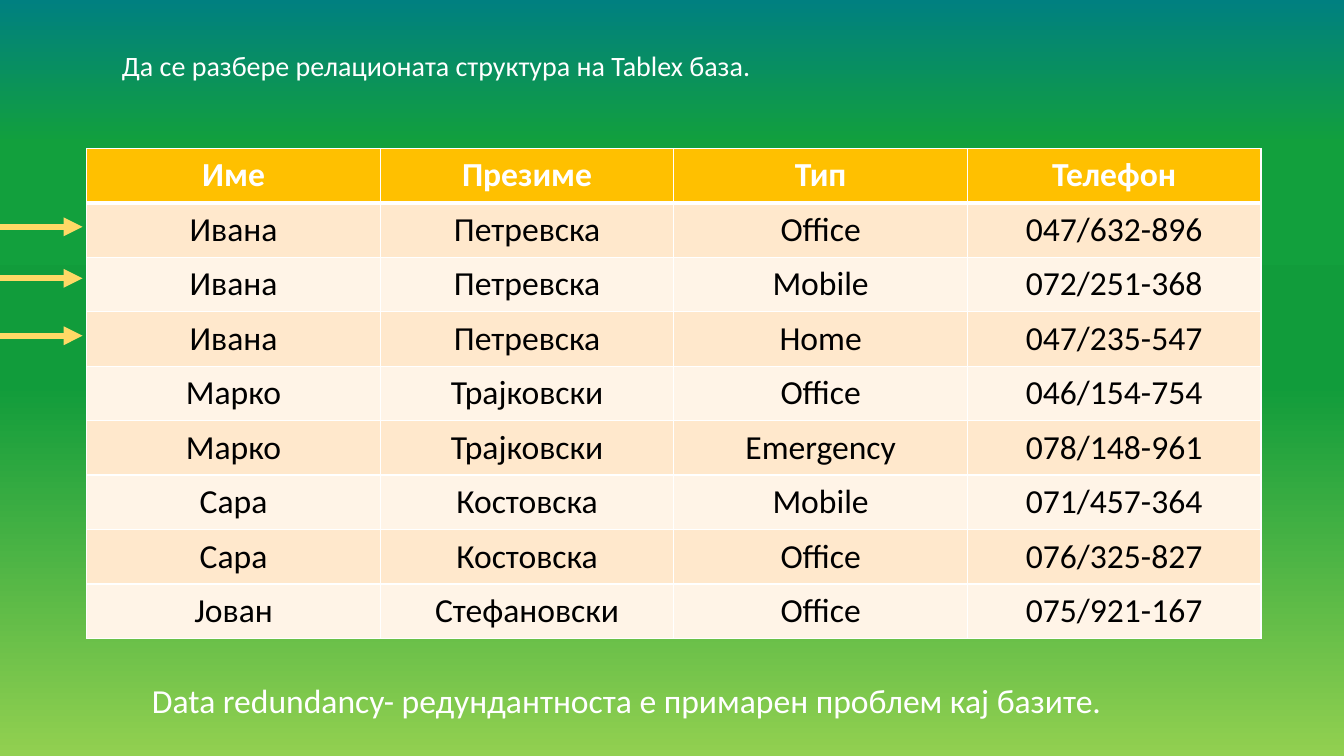
from dataclasses import dataclass

from lxml.etree import SubElement
from pptx import Presentation
from pptx.dml.color import RGBColor
from pptx.enum.shapes import MSO_CONNECTOR as Connector
from pptx.enum.text import MSO_AUTO_SIZE as AutoSize, MSO_ANCHOR as Anchor, PP_ALIGN as Align
from pptx.oxml.ns import qn
from pptx.slide import Slide
from pptx.table import _Cell as Cell
from pptx.text.text import _Paragraph as Paragraph
from pptx.util import Pt

FONT = "Calibri"
WHITE, BLACK, AMBER, ARROW_YELLOW = "FFFFFF", "000000", "FFC000", "FFD966"
BANDS = ("FFE8CC", "FFF4E7")
BACKGROUND_STOPS = ((0, "008080"), (19, "12A03D"), (51, "119C3B"), (100, "92D050"))

TABLE_LEFT, TABLE_TOP = 62, 106
COLUMN_WIDTH, ROW_HEIGHT = 209.7, 38.24
ARROW_LENGTH = 59
ARROW_HEIGHTS = (162, 198.8, 239.8)

PHONE_BOOK = (
    ("Име", "Презиме", "Тип", "Телефон"),
    ("Ивана", "Петревска", "Office", "047/632-896"),
    ("Ивана", "Петревска", "Mobile", "072/251-368"),
    ("Ивана", "Петревска", "Home", "047/235-547"),
    ("Марко", "Трајковски", "Office", "046/154-754"),
    ("Марко", "Трајковски", "Emergency", "078/148-961"),
    ("Сара", "Костовска", "Mobile", "071/457-364"),
    ("Сара", "Костовска", "Office", "076/325-827"),
    ("Јован", "Стефановски", "Office", "075/921-167"),
)


@dataclass(frozen=True)
class Caption:
    text: str
    left: float
    top: float
    width: float
    height: float
    size: float


CAPTIONS = (
    Caption("Да се разбере релационата структура на Tablex база.", 80, 31, 471, 31.5, 20),
    Caption("Data redundancy- редундантноста е примарен проблем кај базите.",
            101.5, 482.4, 700, 36.4, 24),
)


def color(value: str) -> RGBColor:
    return RGBColor.from_string(value)


def paint_background(slide: Slide) -> None:
    fill = slide.background.fill
    fill.gradient()
    fill.gradient_angle = 270
    stops = next(slide.element.iter(qn("a:gsLst")))
    for stop in list(stops):
        stops.remove(stop)
    for percent, value in BACKGROUND_STOPS:
        stop = SubElement(stops, qn("a:gs"), pos=str(percent * 1000))
        SubElement(stop, qn("a:srgbClr"), val=value)


def add_text(paragraph: Paragraph, text: str, size: float, value: str, bold: bool = False) -> None:
    run = paragraph.add_run()
    run.text = text
    run.font.name = FONT
    run.font.size = Pt(size)
    run.font.bold = bold
    run.font.color.rgb = color(value)


def add_caption(slide: Slide, caption: Caption) -> None:
    box = slide.shapes.add_textbox(
        Pt(caption.left), Pt(caption.top), Pt(caption.width), Pt(caption.height))
    frame = box.text_frame
    frame.word_wrap = False
    frame.auto_size = AutoSize.SHAPE_TO_FIT_TEXT
    add_text(frame.paragraphs[0], caption.text, caption.size, WHITE)


def set_borders(cell: Cell, top: float, bottom: float) -> None:
    properties = cell._tc.get_or_add_tcPr()
    for side, width in (("L", 1), ("R", 1), ("T", top), ("B", bottom)):
        line = SubElement(properties, qn(f"a:ln{side}"), w=str(Pt(width)))
        fill = SubElement(line, qn("a:solidFill"))
        SubElement(fill, qn("a:srgbClr"), val=WHITE)


def style_cell(cell: Cell, text: str, row: int) -> None:
    header = row == 0
    # The rule under the header is shared by the first two rows.
    set_borders(cell, top=3 if row == 1 else 1, bottom=3 if header else 1)
    cell.fill.solid()
    cell.fill.fore_color.rgb = color(AMBER if header else BANDS[(row - 1) % 2])
    cell.margin_left = cell.margin_right = Pt(9.6)
    cell.margin_top = cell.margin_bottom = Pt(4.8)
    cell.vertical_anchor = Anchor.TOP
    paragraph = cell.text_frame.paragraphs[0]
    paragraph.alignment = Align.CENTER
    add_text(paragraph, text, 24, WHITE if header else BLACK, bold=header)


def add_phone_book(slide: Slide) -> None:
    rows, columns = len(PHONE_BOOK), len(PHONE_BOOK[0])
    table = slide.shapes.add_table(
        rows, columns, Pt(TABLE_LEFT), Pt(TABLE_TOP),
        Pt(columns * COLUMN_WIDTH), Pt(rows * ROW_HEIGHT)).table
    table.horz_banding = False
    for column in table.columns:
        column.width = Pt(COLUMN_WIDTH)
    for row, entry in enumerate(PHONE_BOOK):
        table.rows[row].height = Pt(ROW_HEIGHT)
        for column, text in enumerate(entry):
            style_cell(table.cell(row, column), text, row)


def add_arrow(slide: Slide, height: float) -> None:
    arrow = slide.shapes.add_connector(
        Connector.STRAIGHT, Pt(0), Pt(height), Pt(ARROW_LENGTH), Pt(height))
    arrow.line.width = Pt(4.5)
    arrow.line.color.rgb = color(ARROW_YELLOW)
    SubElement(arrow.line._get_or_add_ln(), qn("a:tailEnd"), type="triangle")
    SubElement(arrow.element.spPr, qn("a:effectLst"))


def main() -> None:
    presentation = Presentation()
    presentation.slide_width, presentation.slide_height = Pt(960), Pt(540)
    slide = presentation.slides.add_slide(presentation.slide_layouts[6])
    paint_background(slide)
    add_phone_book(slide)
    for caption in CAPTIONS:
        add_caption(slide, caption)
    for height in ARROW_HEIGHTS:
        add_arrow(slide, height)
    presentation.save("out.pptx")


if __name__ == "__main__":
    main()
